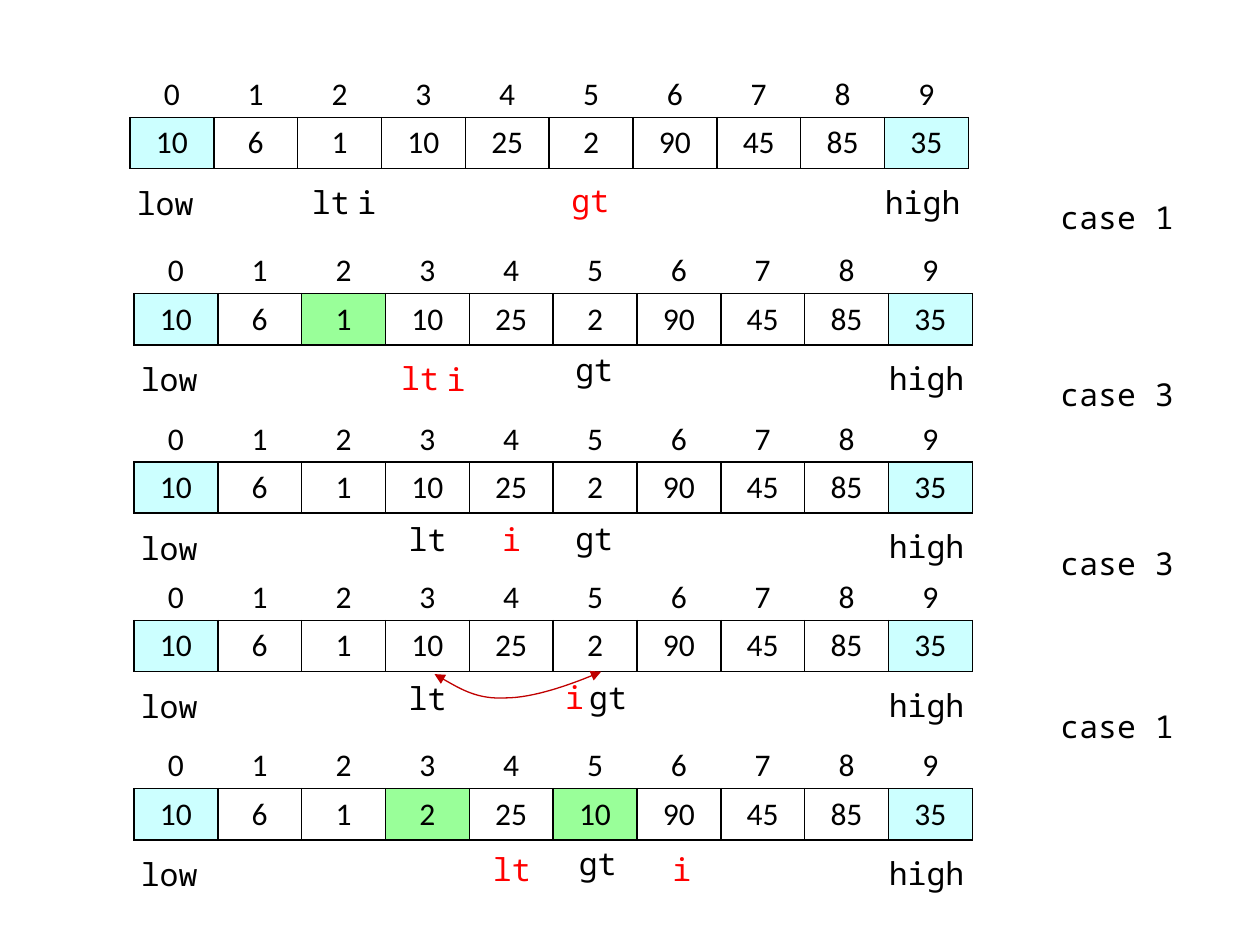
"""Build a slide tracing three-way partitioning of an array, step by step."""
from lxml import etree
from pptx import Presentation
from pptx import util as u
from pptx.dml.color import RGBColor
from pptx.enum import text
from pptx.oxml import ns

BLACK = RGBColor(0x00, 0x00, 0x00)
RED = RGBColor(0xFF, 0x00, 0x00)
DARK_RED = RGBColor(0xC0, 0x00, 0x00)
CYAN = RGBColor(0xCC, 0xFF, 0xFF)
GREEN = RGBColor(0x99, 0xFF, 0x99)

NO_STYLE = "{2D5ABB26-0587-4C30-8999-92F81FD0307C}"
CELL_WIDTH, CELL_HEIGHT = 1.69, 1.03
LABEL_WIDTHS = {"low": 1.8, "high": 2.36, "lt": 1.8, "i": 1.17, "gt": 1.5}
CASE_LEFT, CASE_WIDTH = 21.11, 2.82
PIVOTS = {0: CYAN, 9: CYAN}
START = [10, 6, 1, 10, 25, 2, 90, 45, 85, 35]
SWAPPED = [10, 6, 1, 2, 25, 10, 90, 45, 85, 35]

STEPS = [
    (2.62, 1.4, START, {}, ("case 1", 3.86),
     [("lt", 5.77, 3.56, BLACK), ("i", 6.81, 3.56, BLACK), ("gt", 11.15, 3.53, RED)]),
    (2.7, 4.95, START, {2: GREEN}, ("case 3", 7.44),
     [("lt", 7.57, 7.11, RED), ("i", 8.61, 7.14, RED), ("gt", 11.23, 6.93, BLACK)]),
    (2.7, 8.34, START, {}, ("case 3", 10.85),
     [("lt", 7.72, 10.36, BLACK), ("i", 9.73, 10.36, RED), ("gt", 11.23, 10.34, BLACK)]),
    (2.7, 11.54, START, {}, ("case 1", 14.12),
     [("lt", 7.72, 13.56, BLACK), ("i", 11, 13.54, RED), ("gt", 11.51, 13.54, BLACK)]),
    (2.7, 14.93, SWAPPED, {3: GREEN, 5: GREEN}, None,
     [("lt", 9.42, 17.02, RED), ("i", 13.16, 17.02, RED), ("gt", 11.3, 16.89, BLACK)]),
]
SWAP_CURVE = [(8.76, 13.59), (9.19, 13.84), (9.63, 14.1), (10.19, 14.07),
              (10.74, 14.07), (11.68, 13.74), (12.12, 13.54)]


class Painter:
    def __init__(self, slide, size=18, cell_font="Calibri", label_font="Noto Sans Mono"):
        self.slide = slide
        self.size = u.Pt(size)
        self.cell_font = cell_font
        self.label_font = label_font

    def set_text(self, frame, words, font, color):
        para = frame.paragraphs[0]
        para.text = str(words)
        para.alignment = text.PP_ALIGN.CENTER
        para.font.size = self.size
        para.font.name = font
        para.font.color.rgb = color

    def border(self, cell):
        properties = cell._tc.get_or_add_tcPr()
        for side in ("lnL", "lnR", "lnT", "lnB"):
            line = etree.SubElement(properties, ns.qn(f"a:{side}"), w=str(u.Pt(1)))
            fill = etree.SubElement(line, ns.qn("a:solidFill"))
            etree.SubElement(fill, ns.qn("a:srgbClr"), val=str(BLACK))

    def row(self, left, top, values, fills=None, bordered=False):
        fills = fills or {}
        table = self.slide.shapes.add_table(
            1, len(values), u.Cm(left), u.Cm(top),
            u.Cm(CELL_WIDTH * len(values)), u.Cm(CELL_HEIGHT)).table
        table.first_row = table.horz_banding = False
        table._tbl.tblPr.find(ns.qn("a:tableStyleId")).text = NO_STYLE
        for index, value in enumerate(values):
            table.columns[index].width = u.Cm(CELL_WIDTH)
            cell = table.cell(0, index)
            cell.vertical_anchor = text.MSO_ANCHOR.MIDDLE
            if bordered:
                self.border(cell)
            if index in fills:
                cell.fill.solid()
                cell.fill.fore_color.rgb = fills[index]
            else:
                cell.fill.background()
            self.set_text(cell.text_frame, value, self.cell_font, BLACK)

    def label(self, words, left, top, width, color=BLACK):
        box = self.slide.shapes.add_textbox(u.Cm(left), u.Cm(top), u.Cm(width), u.Cm(1.03))
        frame = box.text_frame
        frame.word_wrap = True
        frame.auto_size = text.MSO_AUTO_SIZE.SHAPE_TO_FIT_TEXT
        self.set_text(frame, words, self.label_font, color)

    def curve(self, points):
        start, *rest = [(u.Cm(x), u.Cm(y)) for x, y in points]
        builder = self.slide.shapes.build_freeform(*start)
        builder.add_line_segments(rest, close=False)
        shape = builder.convert_to_shape()
        shape.shadow.inherit = False
        shape.fill.background()
        shape.line.color.rgb = DARK_RED
        shape.line.width = u.Pt(0.75)
        segments = list(shape._element.iter(ns.qn("a:lnTo")))
        for first in range(0, len(segments), 3):
            bezier = etree.Element(ns.qn("a:cubicBezTo"))
            segments[first].addprevious(bezier)
            for segment in segments[first:first + 3]:
                bezier.append(segment[0])
                segment.getparent().remove(segment)
        line = shape._element.spPr.find(ns.qn("a:ln"))
        for end in ("headEnd", "tailEnd"):
            etree.SubElement(line, ns.qn(f"a:{end}"), type="triangle")

    def step(self, left, top, values, changed, case, markers):
        self.row(left, top, range(len(values)))
        self.row(left, top + 0.97, values, PIVOTS | changed, bordered=True)
        self.label("low", left - 0.19, top + 2.19, LABEL_WIDTHS["low"])
        self.label("high", left + 14.8, top + 2.16, LABEL_WIDTHS["high"])
        for name, marker_left, marker_top, color in markers:
            self.label(name, marker_left, marker_top, LABEL_WIDTHS[name], color)
        if case:
            self.label(case[0], CASE_LEFT, case[1], CASE_WIDTH)


def main():
    deck = Presentation()
    deck.slide_width, deck.slide_height = u.Cm(25.4), u.Cm(19.05)
    painter = Painter(deck.slides.add_slide(deck.slide_layouts[6]))
    for step in STEPS:
        painter.step(*step)
    painter.curve(SWAP_CURVE)
    deck.save("out.pptx")


if __name__ == "__main__":
    main()
